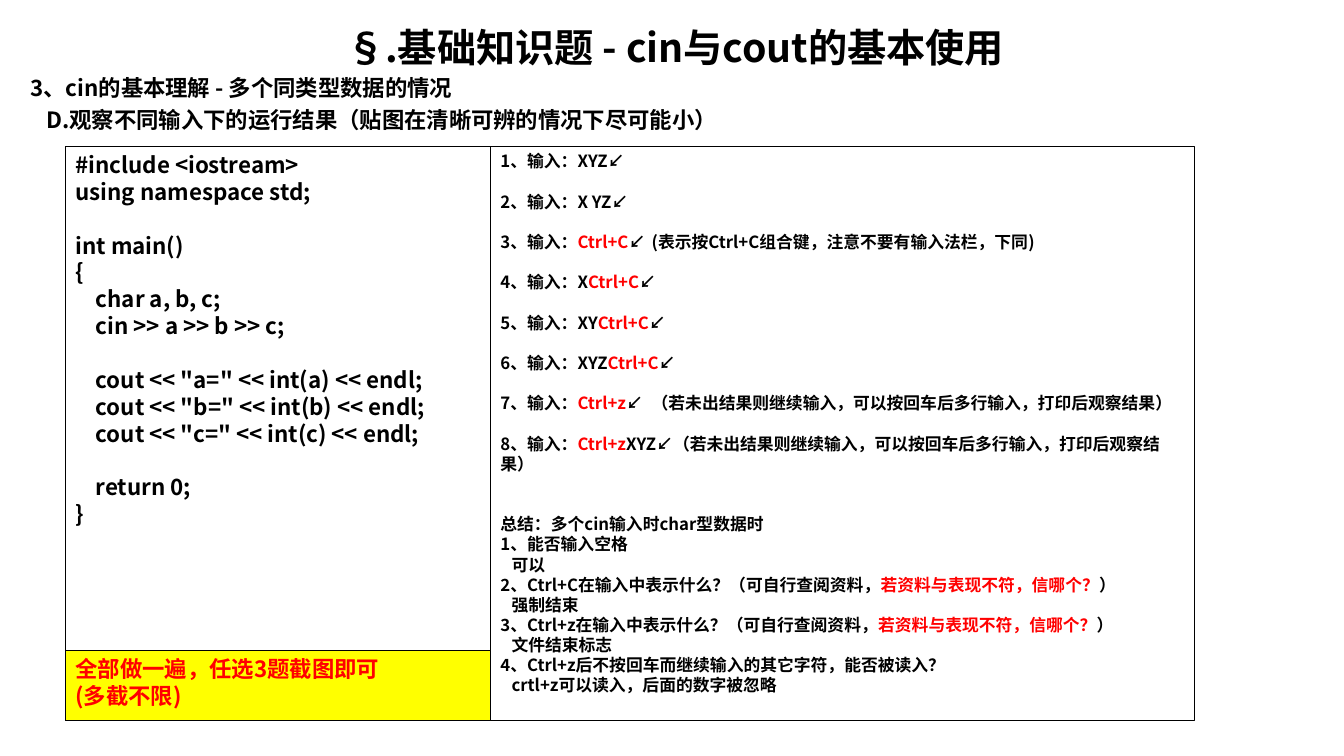
from pptx import Presentation
from pptx.dml.color import RGBColor
from pptx.enum.shapes import MSO_SHAPE as Shape
from pptx.enum.text import MSO_ANCHOR as Anchor, MSO_AUTO_SIZE as AutoSize, PP_ALIGN as Align
from pptx.oxml.ns import qn
from pptx.util import Inches, Pt
from lxml.etree import SubElement

CODE = """#include <iostream>
using namespace std;

int main()
{
    char a, b, c;
    cin >> a >> b >> c;

    cout << "a=" << int(a) << endl;
    cout << "b=" << int(b) << endl;
    cout << "c=" << int(c) << endl;

    return 0;
}"""

# Text between bars is red; a leading ~ marks an indented line
HINT = "（若未出结果则继续输入，可以按回车后多行输入，打印后观察结果）"
DOUBT = "（可自行查阅资料，|若资料与表现不符，信哪个？|）"
INPUTS = [
    "XYZ↙",
    "X YZ↙",
    "|Ctrl+C|↙\t(表示按Ctrl+C组合键，注意不要有输入法栏，下同)",
    "X|Ctrl+C|↙",
    "XY|Ctrl+C|↙",
    "XYZ|Ctrl+C|↙",
    "|Ctrl+z|↙\t" + HINT,
    "|Ctrl+z|XYZ↙" + HINT,
]
SUMMARY = [
    ("能否输入空格", "可以"),
    ("Ctrl+C在输入中表示什么？" + DOUBT, "强制结束"),
    ("Ctrl+z在输入中表示什么？" + DOUBT, "文件结束标志"),
    ("Ctrl+z后不按回车而继续输入的其它字符，能否被读入？",
     "crtl+z可以读入，后面的数字被忽略"),
]


def color(value):
    return RGBColor.from_string(value)


class Exercise:
    font = "Noto Sans CJK SC"
    ink, red, yellow = "000000", "FF0000", "FFFF00"
    leading = 1.2
    remark_tab = Inches(1.6)

    def __init__(self, deck):
        self.width, self.height = deck.slide_width, deck.slide_height
        self.slide = deck.slides.add_slide(deck.slide_layouts[1])

    def area(self, left, top, width, height):
        """Percentages of the slide's width and height."""
        return (int(self.width * left / 100), int(self.height * top / 100),
                int(self.width * width / 100), int(self.height * height / 100))

    def style(self, run, size, ink):
        run.font.name, run.font.size, run.font.bold = self.font, Pt(size), True
        run.font.color.rgb = color(ink)
        SubElement(run.font._element, qn("a:ea")).set("typeface", self.font)

    def fill_text(self, frame, lines, size, ink=ink, align=Align.LEFT, gap=0, indent=0):
        frame.word_wrap, frame.auto_size = True, AutoSize.NONE
        frame.vertical_anchor = Anchor.TOP
        paragraph, skipped = None, 0
        for line in lines:
            if not line:
                skipped += 1
                continue
            first = paragraph is None
            paragraph = frame.paragraphs[0] if first else frame.add_paragraph()
            props = paragraph._p.get_or_add_pPr()
            props.set("marL", str(indent if line.startswith("~") else 0))
            props.set("indent", "0")
            SubElement(props, qn("a:buNone"))
            if "\t" in line:
                stops = SubElement(props, qn("a:tabLst"))
                SubElement(stops, qn("a:tab"), pos=str(self.remark_tab), algn="l")
            paragraph.alignment = align
            paragraph.line_spacing = Pt(size * self.leading)
            paragraph.space_before = Pt(0 if first else gap + skipped * size * self.leading)
            skipped = 0
            for number, part in enumerate(line.lstrip("~").split("|")):
                if part:
                    run = paragraph.add_run()
                    run.text = part
                    self.style(run, size, self.red if number % 2 else ink)

    def placeholder(self, index, area, lines, size, **options):
        holder = self.slide.placeholders[index]
        holder.left, holder.top, holder.width, holder.height = self.area(*area)
        self.fill_text(holder.text_frame, lines, size, **options)

    def panel(self, area, lines, size, fill=None, **options):
        box = self.slide.shapes.add_shape(Shape.RECTANGLE, *self.area(*area))
        box.shadow.inherit = False
        box.line.color.rgb, box.line.width = color(self.ink), Pt(0.75)
        if fill:
            box.fill.solid()
            box.fill.fore_color.rgb = color(fill)
        else:
            box.fill.background()
        self.fill_text(box.text_frame, lines, size, **options)


def main():
    deck = Presentation()
    deck.slide_width, deck.slide_height = Inches(13.33), Inches(7.5)
    page = Exercise(deck)

    # Heading
    page.placeholder(0, (1.5, 2.4, 97.45, 7.6), ["§.基础知识题 - cin与cout的基本使用"],
                     28, align=Align.CENTER)
    page.placeholder(1, (1.5, 9.2, 97.45, 9), [
        "3、cin的基本理解 - 多个同类型数据的情况",
        "~D.观察不同输入下的运行结果（贴图在清晰可辨的情况下尽可能小）",
    ], 16, gap=3.2, indent=Inches(0.16))

    # Program on the left, tasks and summary on the right
    left, middle, right, top, bottom = 4.88, 36.5, 88.9, 19.33, 95.33
    page.panel((left, top, middle - left, bottom - top), CODE.split("\n"), 16)

    tasks = []
    for number, keys in enumerate(INPUTS, 1):
        tasks += [f"{number}、输入：{keys}", ""]
    tasks += ["", "总结：多个cin输入时char型数据时"]
    for number, (question, answer) in enumerate(SUMMARY, 1):
        tasks += [f"{number}、{question}", "~" + answer]
    page.panel((middle, top, right - middle, bottom - top), tasks, 12, indent=Inches(0.11))

    # Note under the program
    note_top = 86
    page.panel((left, note_top, middle - left, bottom - note_top),
               ["全部做一遍，任选3题截图即可", "(多截不限)"], 16,
               fill=page.yellow, ink=page.red)

    deck.save("out.pptx")


if __name__ == "__main__":
    main()
